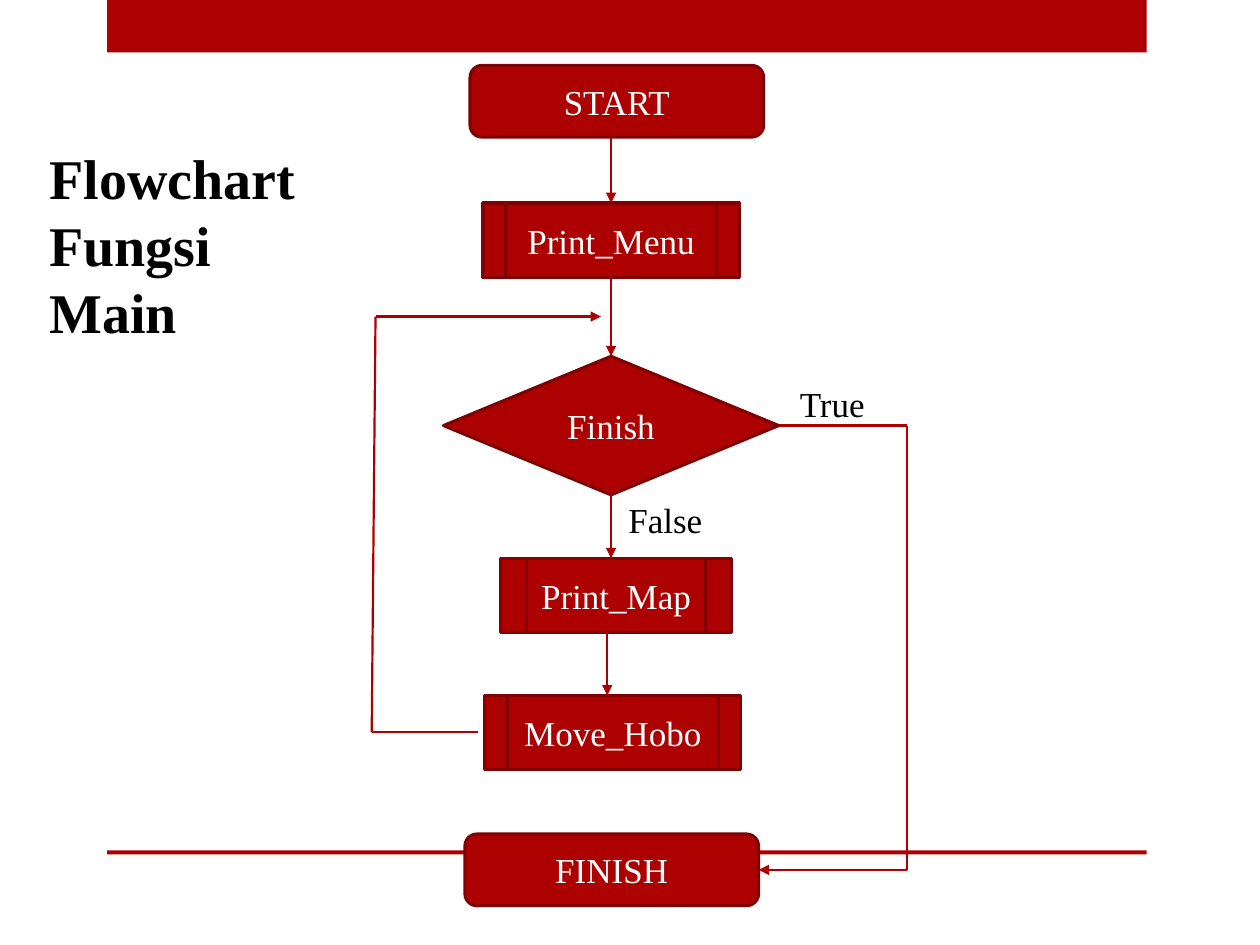
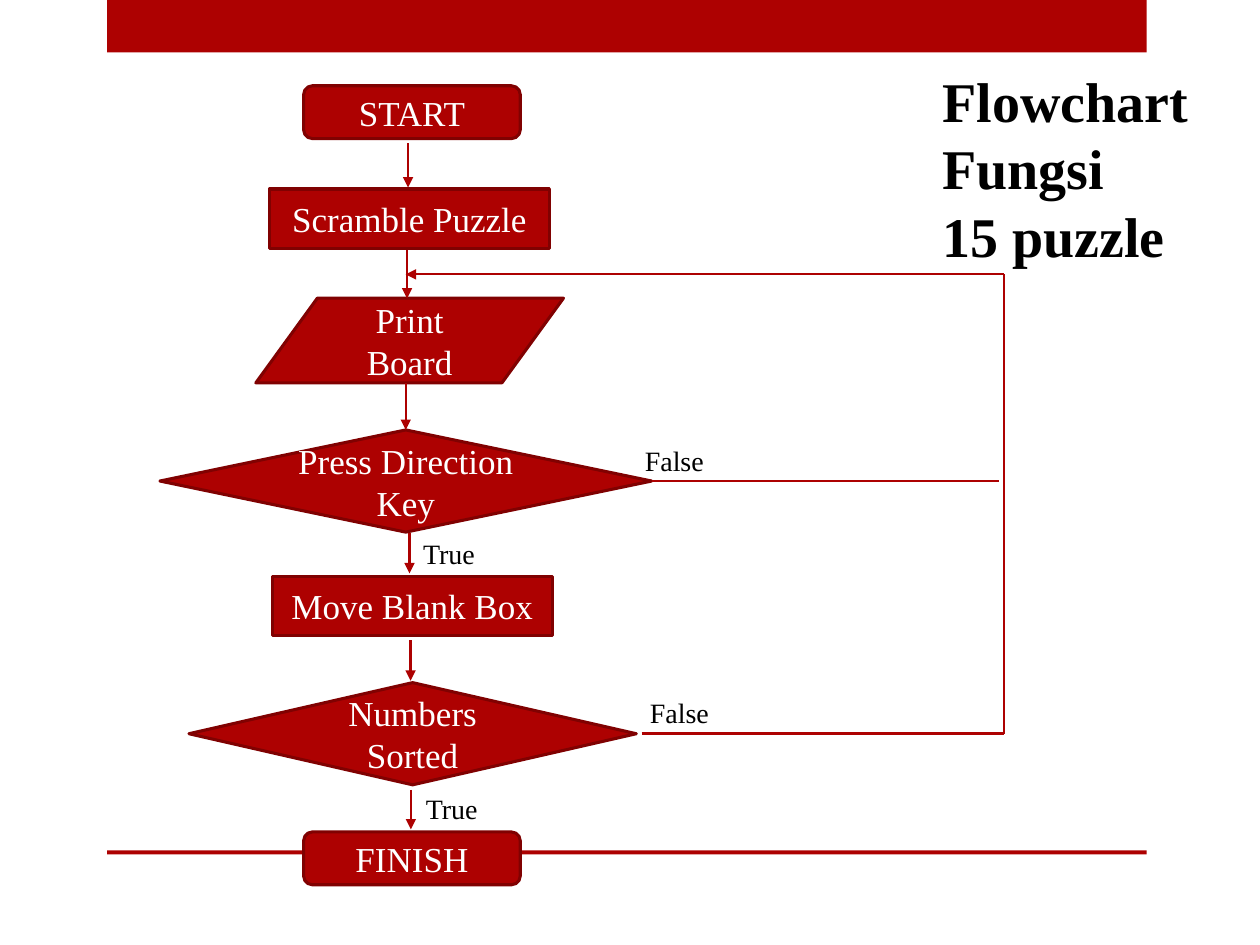
from dataclasses import dataclass
from itertools import pairwise
from typing import NamedTuple, Union

from pptx import Presentation
from pptx.dml.color import RGBColor
from pptx.enum.shapes import MSO_CONNECTOR, MSO_SHAPE
from pptx.enum.text import MSO_ANCHOR, MSO_AUTO_SIZE, PP_ALIGN
from pptx.oxml.ns import qn
from pptx.oxml.xmlchemy import OxmlElement
from pptx.presentation import Presentation as Deck
from pptx.shapes.autoshape import Shape
from pptx.slide import Slide
from pptx.util import Pt

RED = RGBColor(0xAD, 0x01, 0x01)
DARK_RED = RGBColor(0x80, 0x01, 0x01)
WHITE = RGBColor(0xFF, 0xFF, 0xFF)
BLACK = RGBColor(0x00, 0x00, 0x00)
FONT = "Times New Roman"

TERMINAL = MSO_SHAPE.ROUNDED_RECTANGLE
PROCESS = MSO_SHAPE.RECTANGLE
DECISION = MSO_SHAPE.FLOWCHART_DECISION
DATA = MSO_SHAPE.FLOWCHART_DATA
TOP, LEFT, BOTTOM, RIGHT = range(4)


class Box(NamedTuple):
    x: float
    y: float
    w: float
    h: float


class Point(NamedTuple):
    x: float
    y: float


class Side(NamedTuple):
    node: str
    site: int


Stop = Union[Point, Side]


@dataclass(frozen=True)
class Node:
    text: str
    kind: MSO_SHAPE
    box: Box
    bar: float = 0  # width of the side bars of a subroutine


@dataclass(frozen=True)
class Route:
    stops: tuple[Stop, ...]
    arrow: bool = True


@dataclass(frozen=True)
class Label:
    lines: tuple[str, ...]
    box: Box
    size: float
    bold: bool = False


@dataclass(frozen=True)
class Flowchart:
    nodes: tuple[Node, ...]
    routes: tuple[Route, ...]
    labels: tuple[Label, ...]


def down(x: float, top: float, bottom: float) -> Route:
    return Route((Point(x, top), Point(x, bottom)))


def title(lines: tuple[str, ...], x: float, y: float, w: float) -> Label:
    return Label(lines, Box(x, y, w, 123.8), 32, bold=True)


MAIN = Flowchart(
    nodes=(
        Node("START", TERMINAL, Box(268.6, 37.4, 167.8, 41)),
        Node("Print_Menu", PROCESS, Box(276, 116, 146.4, 42.5), bar=13),
        Node("Finish", DECISION, Box(253.4, 203.6, 191.6, 79.2)),
        Node("Print_Map", PROCESS, Box(285.8, 319, 132.5, 42.5), bar=15),
        Node("Move_Hobo", PROCESS, Box(277, 397.4, 146.4, 42.5), bar=13),
        Node("FINISH", TERMINAL, Box(265.7, 476.6, 167.8, 41)),
    ),
    routes=(
        Route((Point(349.2, 78.4), Side("Print_Menu", TOP))),
        Route((Side("Print_Menu", BOTTOM), Side("Finish", TOP))),
        Route((Side("Finish", BOTTOM), Point(349.2, 319))),
        down(347, 361.5, 397.4),
        Route((Side("Finish", RIGHT), Point(518.4, 243.2),
               Point(518.4, 497.1), Side("FINISH", RIGHT))),
        Route((Point(272.9, 418.5), Point(212.4, 418.5),
               Point(214.6, 180.9), Point(343.4, 180.9))),
    ),
    labels=(
        Label(("False",), Box(352, 281.5, 64, 31.5), 20),
        Label(("True",), Box(450, 215.3, 64, 31.5), 20),
        title(("Flowchart Fungsi Main",), 21.2, 78.5, 156.2),
    ),
)

PUZZLE = Flowchart(
    nodes=(
        Node("START", TERMINAL, Box(173.5, 49, 123.8, 30.2)),
        Node("Scramble Puzzle", PROCESS, Box(154, 108, 160, 34)),
        Node("Print Board", DATA, Box(146.2, 170.4, 175.8, 48.4)),
        Node("Press Direction Key", DECISION, Box(91.4, 245.7, 281, 58.4)),
        Node("Move Blank Box", PROCESS, Box(155.6, 329.2, 160, 34)),
        Node("Numbers Sorted", DECISION, Box(108, 390.1, 255.6, 58.4)),
        Node("FINISH", TERMINAL, Box(173.5, 475.4, 123.8, 30.2)),
    ),
    routes=(
        down(233.2, 82, 107.2),
        down(232.6, 142.6, 170.6),
        Route((Point(231.9, 218.8), Side("Press Direction Key", TOP))),
        down(234, 304.6, 327.6),
        down(234.6, 366, 389),
        down(234.8, 451.4, 474),
        Route((Side("Press Direction Key", RIGHT), Point(571, 274.9)), arrow=False),
        Route((Point(366.7, 419.2), Point(573.8, 419.2),
               Point(573.8, 156.8), Point(231.8, 156.8))),
    ),
    labels=(
        Label(("False",), Box(361.4, 249.8, 54, 26.6), 16),
        Label(("True",), Box(234.7, 303.1, 54, 26.6), 16),
        Label(("False",), Box(364.3, 393.8, 54, 26.6), 16),
        Label(("True",), Box(236.2, 448.6, 54, 26.6), 16),
        title(("Flowchart Fungsi", "15 puzzle"), 531.4, 34.6, 173.5),
    ),
)


def add_filled(slide: Slide, kind: MSO_SHAPE, box: Box, outlined: bool = True) -> Shape:
    sp = slide.shapes.add_shape(kind, *map(Pt, box))
    sp.shadow.inherit = False
    sp.fill.solid()
    sp.fill.fore_color.rgb = RED
    if outlined:
        sp.line.color.rgb = DARK_RED
        sp.line.width = Pt(1.75)
    else:
        sp.line.fill.background()
    return sp


def write(sp: Shape, lines: tuple[str, ...], size: float, color: RGBColor,
          align: PP_ALIGN, bold: bool = False) -> None:
    tf = sp.text_frame
    tf.word_wrap = True
    tf.text = "\n".join(lines)
    for p in tf.paragraphs:
        p.alignment = align
        p.font.name = FONT
        p.font.size = Pt(size)
        p.font.bold = bold
        p.font.color.rgb = color


def add_node(slide: Slide, node: Node) -> Shape:
    """Draw a node and return its outer shape, to which connectors join."""
    outer = sp = add_filled(slide, node.kind, node.box)
    if node.bar:
        x, y, w, h = node.box
        sp = add_filled(slide, PROCESS, Box(x + node.bar, y, w - 2 * node.bar, h))
    write(sp, (node.text,), 20, WHITE, PP_ALIGN.CENTER)
    sp.text_frame.vertical_anchor = MSO_ANCHOR.MIDDLE
    return outer


def locate(stop: Stop, shapes: dict[str, Shape]) -> tuple[int, int]:
    if isinstance(stop, Point):
        return Pt(stop.x), Pt(stop.y)
    sp = shapes[stop.node]
    across, along = {TOP: (1, 0), LEFT: (0, 1), BOTTOM: (1, 2), RIGHT: (2, 1)}[stop.site]
    return sp.left + sp.width * across // 2, sp.top + sp.height * along // 2


def add_leg(slide: Slide, start: Stop, end: Stop, shapes: dict[str, Shape],
            arrow: bool) -> None:
    line = slide.shapes.add_connector(
        MSO_CONNECTOR.STRAIGHT, *locate(start, shapes), *locate(end, shapes))
    if isinstance(start, Side):
        line.begin_connect(shapes[start.node], start.site)
    if isinstance(end, Side):
        line.end_connect(shapes[end.node], end.site)
    line.line.color.rgb = RED
    line.line.width = Pt(1.25)
    props = line.element.spPr
    if arrow:
        head = OxmlElement("a:tailEnd")
        head.set("type", "triangle")
        props.find(qn("a:ln")).append(head)
    props.append(OxmlElement("a:effectLst"))


def add_route(slide: Slide, route: Route, shapes: dict[str, Shape]) -> None:
    """Draw straight legs through all stops, with the arrowhead on the last."""
    legs = list(pairwise(route.stops))
    for i, (start, end) in enumerate(legs, 1):
        add_leg(slide, start, end, shapes, route.arrow and i == len(legs))


def add_label(slide: Slide, label: Label) -> None:
    sp = slide.shapes.add_textbox(*map(Pt, label.box))
    write(sp, label.lines, label.size, BLACK, PP_ALIGN.LEFT, label.bold)
    sp.text_frame.auto_size = MSO_AUTO_SIZE.SHAPE_TO_FIT_TEXT


def add_bands(slide: Slide) -> None:
    for y, h in ((0, 30), (486, 2.2)):
        add_filled(slide, PROCESS, Box(61.2, y, 594, h), outlined=False)


def add_flowchart(prs: Deck, chart: Flowchart) -> None:
    slide = prs.slides.add_slide(prs.slide_layouts[6])
    add_bands(slide)
    shapes = {node.text: add_node(slide, node) for node in chart.nodes}
    for route in chart.routes:
        add_route(slide, route, shapes)
    for label in chart.labels:
        add_label(slide, label)


def main() -> None:
    prs = Presentation()
    prs.slide_width, prs.slide_height = Pt(720), Pt(540)
    for chart in (MAIN, PUZZLE):
        add_flowchart(prs, chart)
    prs.save("out.pptx")


if __name__ == "__main__":
    main()
